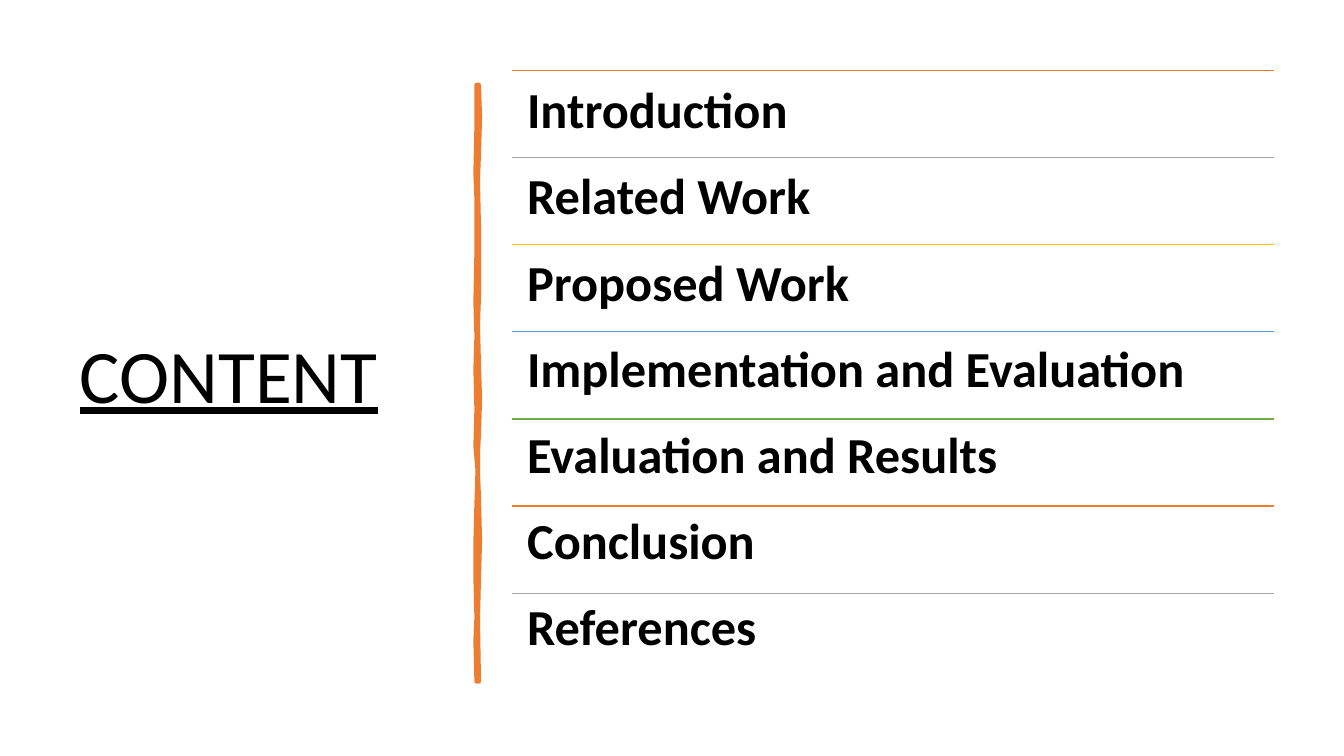
"""Build a contents slide with a title, a hand-drawn divider and a ruled list."""
from dataclasses import dataclass
from itertools import cycle

from lxml import etree
from pptx import Presentation
from pptx.dml.color import RGBColor
from pptx.enum.shapes import MSO_CONNECTOR
from pptx.enum.text import MSO_ANCHOR, MSO_AUTO_SIZE, PP_ALIGN
from pptx.oxml.ns import qn
from pptx.util import Emu, Pt

PX = 9525
STRAIGHT = MSO_CONNECTOR.STRAIGHT
TOP = MSO_ANCHOR.TOP
MIDDLE = MSO_ANCHOR.MIDDLE
LEFT = PP_ALIGN.LEFT
NO_AUTOFIT = MSO_AUTO_SIZE.NONE


@dataclass(frozen=True)
class Theme:
    font: str = "Calibri"
    text: str = "000000"
    divider: str = "ED7D31"
    rules: tuple[str, ...] = ("ED7D31", "A5A5A5", "FFC000", "5B9BD5", "70AD47")
    title_size: float = 54
    item_size: float = 36
    item_gap: float = 22.7
    rule_width: float = 1
    divider_width: float = 3.25


@dataclass(frozen=True)
class Box:
    left: int
    top: int
    width: int
    height: int


@dataclass(frozen=True)
class Rule:
    top: int
    color: str


THEME = Theme()
ITEMS = (
    "Introduction",
    "Related Work",
    "Proposed Work",
    "Implementation and Evaluation",
    "Evaluation and Results",
    "Conclusion",
    "References",
)
ROW_HEIGHT = 83
TITLE_BOX = Box(66, 67, 359, 587)
LIST_BOX = Box(488, 67, 725, ROW_HEIGHT * len(ITEMS))
RULES = [
    Rule(LIST_BOX.top + row * ROW_HEIGHT, color)
    for row, color in zip(range(len(ITEMS)), cycle(THEME.rules))
]
DIVIDER_OUTLINE = (
    (456, 81), (457, 112), (456, 146), (455, 172), (456, 217), (456, 282),
    (455, 310), (456, 348), (457, 380), (456, 413), (455, 432), (455, 448),
    (456, 475), (457, 515), (456, 550), (455, 590), (456, 649),
    (454, 649), (453, 610), (454, 588), (453, 550), (453, 517), (454, 480),
    (455, 448), (453, 425), (454, 390), (453, 352), (454, 320), (453, 288),
    (454, 240), (454, 190), (453, 165), (454, 120), (454, 81),
)


def place(shape, box: Box) -> None:
    shape.left, shape.top = Emu(box.left * PX), Emu(box.top * PX)
    shape.width, shape.height = Emu(box.width * PX), Emu(box.height * PX)


def write_text(shape, *lines: str, size: float, anchor, bold: bool = False,
               underline: bool = False, inset: tuple[int, int] = (10, 5),
               gap: float = 0) -> None:
    frame = shape.text_frame
    frame.word_wrap = True
    frame.auto_size = NO_AUTOFIT
    frame.vertical_anchor = anchor
    frame.margin_left = frame.margin_right = Emu(inset[0] * PX)
    frame.margin_top = frame.margin_bottom = Emu(inset[1] * PX)
    frame.text = "\n".join(lines)
    for paragraph in frame.paragraphs:
        paragraph.alignment = LEFT
        paragraph.line_spacing = 0.9
        paragraph.space_before = Pt(0)
        paragraph.space_after = Pt(gap)
        properties = paragraph._p.get_or_add_pPr()
        properties.set("marL", "0")
        properties.set("indent", "0")
        etree.SubElement(properties, qn("a:buNone"))
        font = paragraph.runs[0].font
        font.name = THEME.font
        font.size = Pt(size)
        font.bold = bold
        font.underline = underline
        font.color.rgb = RGBColor.from_string(THEME.text)


def draw_divider(slide) -> None:
    start, *rest = DIVIDER_OUTLINE
    builder = slide.shapes.build_freeform(*start, scale=PX)
    builder.add_line_segments(rest, close=True)
    divider = builder.convert_to_shape()
    divider.shadow.inherit = False
    color = RGBColor.from_string(THEME.divider)
    divider.fill.solid()
    divider.fill.fore_color.rgb = color
    divider.line.color.rgb = color
    divider.line.width = Pt(THEME.divider_width)


def draw_rule(slide, rule: Rule) -> None:
    left, top = Emu(LIST_BOX.left * PX), Emu(rule.top * PX)
    right = left + Emu(LIST_BOX.width * PX)
    connector = slide.shapes.add_connector(STRAIGHT, left, top, right, top)
    connector.line.color.rgb = RGBColor.from_string(rule.color)
    connector.line.width = Pt(THEME.rule_width)
    etree.SubElement(connector._element.spPr, qn("a:effectLst"))


def main() -> None:
    presentation = Presentation()
    presentation.slide_width = Emu(1280 * PX)
    presentation.slide_height = Emu(720 * PX)
    slide = presentation.slides.add_slide(presentation.slide_layouts[1])
    title, body = slide.placeholders
    place(title, TITLE_BOX)
    write_text(title, "CONTENT", size=THEME.title_size, anchor=MIDDLE, underline=True)
    draw_divider(slide)
    place(body, LIST_BOX)
    write_text(body, *ITEMS, size=THEME.item_size, anchor=TOP, bold=True,
               inset=(14, 14), gap=THEME.item_gap)
    for rule in RULES:
        draw_rule(slide, rule)
    presentation.save("out.pptx")


if __name__ == "__main__":
    main()
